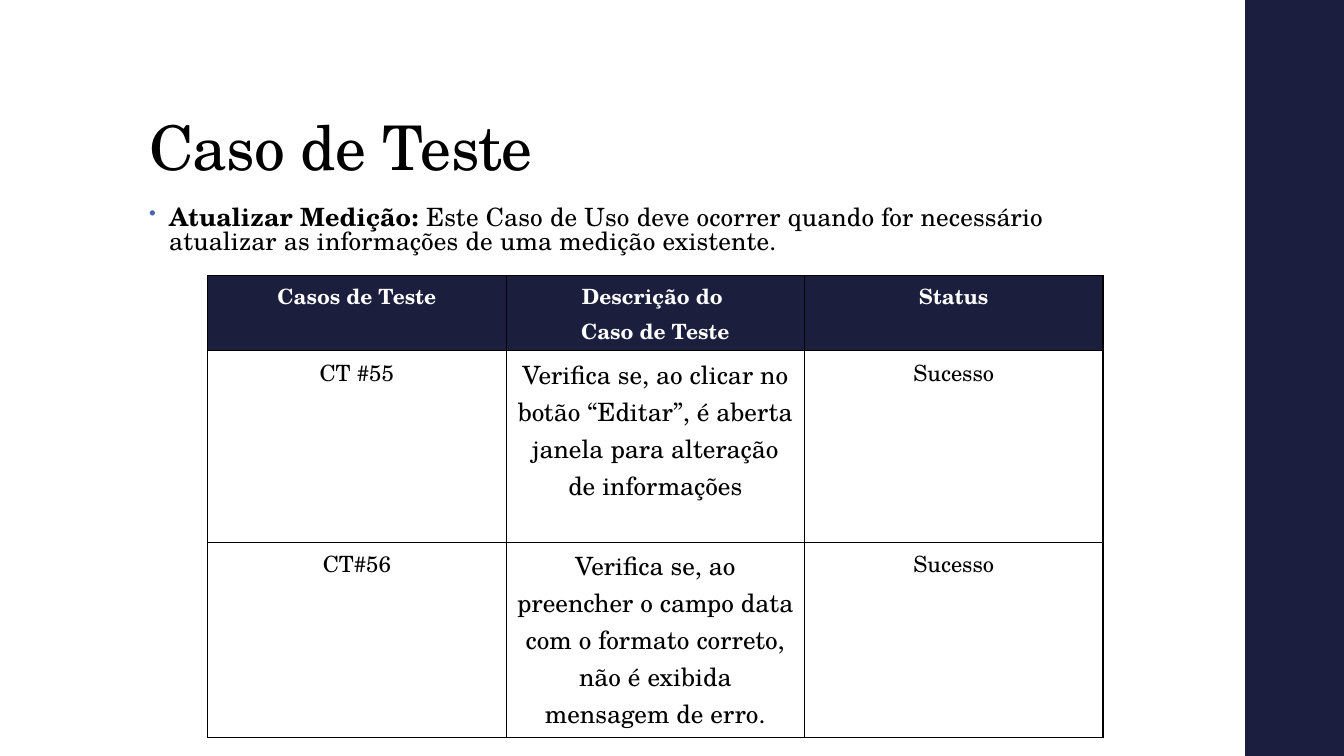
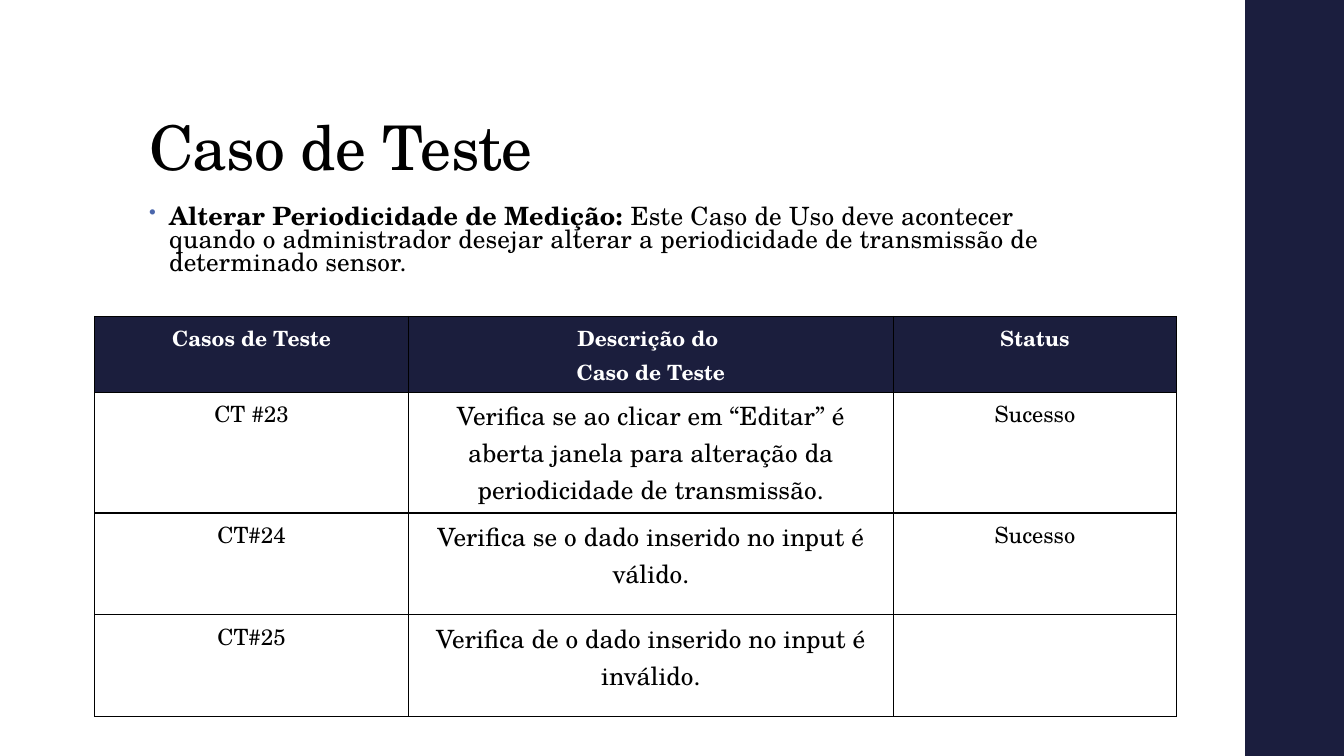
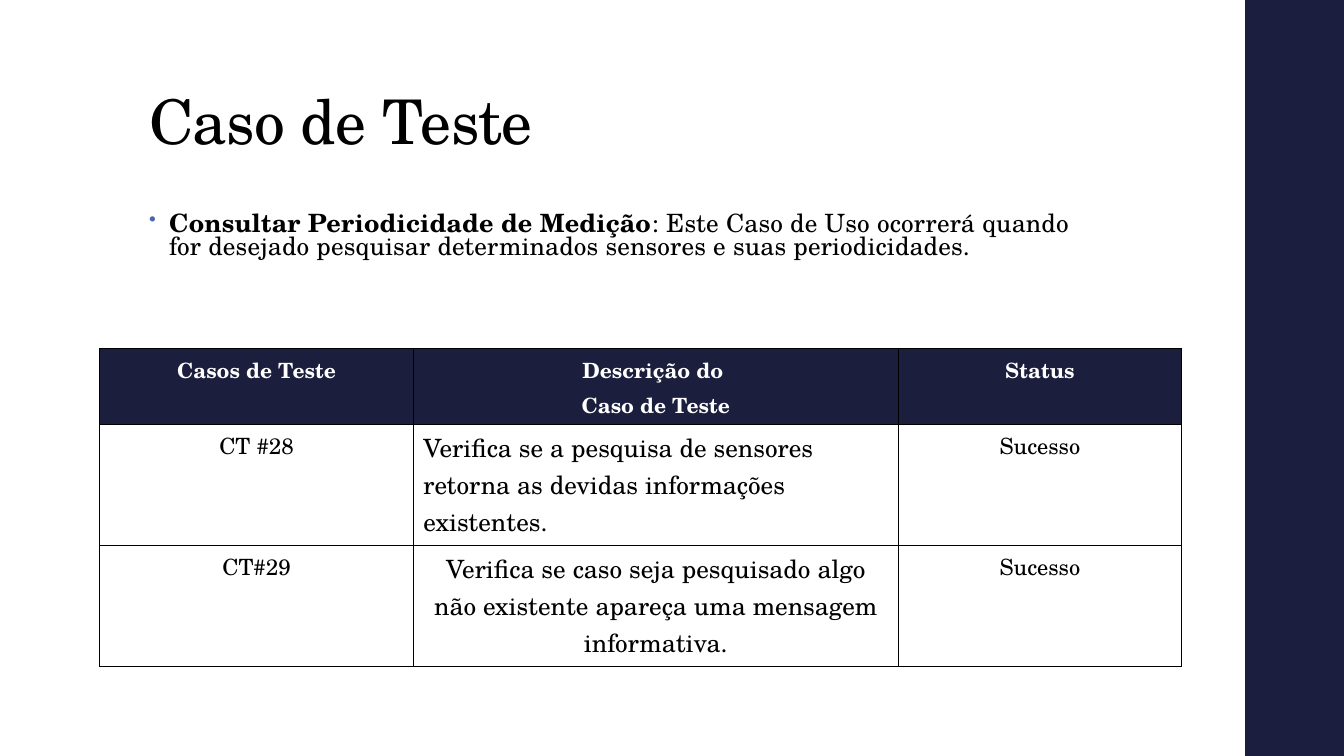
from lxml.etree import SubElement
from pptx import Presentation
from pptx.dml.color import RGBColor
from pptx.enum.shapes import MSO_SHAPE
from pptx.enum.text import MSO_ANCHOR, PP_ALIGN
from pptx.oxml.ns import qn
from pptx.util import Inches, Pt

COLORS = {"band": "1B1E3E", "header": "1B1E3D", "bullet": "4A66AC",
          "text": "000000", "paper": "FFFFFF"}
FONT = "TeX Gyre Schola"
HEADERS = ["Casos de Teste", "Descrição do \nCaso de Teste", "Status"]
WIDE_COLUMNS = [3.11, 4.81, 2.81]


def rgb(name):
    return RGBColor.from_string(COLORS[name])


class TestCaseDeck:
    """Shared style and the slide being built."""

    def __init__(self):
        self.prs = Presentation()
        self.prs.slide_width, self.prs.slide_height = Inches(13.33), Inches(7.5)
        self.slide = None

    def new_slide(self):
        self.slide = self.prs.slides.add_slide(self.prs.slide_layouts[6])
        band = self.slide.shapes.add_shape(
            MSO_SHAPE.RECTANGLE, Inches(12.35), 0, Inches(0.98), Inches(7.5))
        band.shadow.inherit = False
        band.fill.solid()
        band.fill.fore_color.rgb = rgb("band")
        band.line.fill.background()

    def style(self, run, size, color="text", bold=False, tracking=0):
        run.font.name, run.font.size, run.font.bold = FONT, Pt(size), bold
        run.font.color.rgb = rgb(color)
        if tracking:
            run._r.get_or_add_rPr().set("spc", str(tracking))

    def text_frame(self, top, width, height):
        box = self.slide.shapes.add_textbox(
            Inches(1.38), Inches(top), Inches(width), Inches(height))
        box.text_frame.word_wrap = True
        return box.text_frame

    def title(self, top):
        frame = self.text_frame(top, 10.6, 1.45)
        frame.vertical_anchor = MSO_ANCHOR.BOTTOM
        frame.text = "Caso de Teste"
        heading = frame.paragraphs[0]
        heading.line_spacing = 0.72
        self.style(heading.runs[0], 44, tracking=-50)

    def use_case(self, top, name, description, spacing):
        paragraph = self.text_frame(top, 9.4, 4.76).paragraphs[0]
        paragraph.line_spacing = spacing
        props = paragraph._p.get_or_add_pPr()
        props.set("marL", str(Inches(0.2)))
        props.set("indent", str(-Inches(0.2)))
        bullet_color = SubElement(props, qn("a:buClr"))
        SubElement(bullet_color, qn("a:srgbClr"), val=COLORS["bullet"])
        SubElement(props, qn("a:buSzPct"), val="80000")
        SubElement(props, qn("a:buChar"), char="•")
        for text, bold in ((name, True), (description, False)):
            run = paragraph.add_run()
            run.text = text
            self.style(run, 18, bold=bold, tracking=10)

    def cell(self, cell, text, size, fill="paper", color="text", bold=False,
             align=PP_ALIGN.CENTER, after=0):
        # Borders come before the fill in the cell properties
        props = cell._tc.get_or_add_tcPr()
        for side in ("lnL", "lnR", "lnT", "lnB"):
            border = SubElement(props, qn(f"a:{side}"), w=str(Pt(0.96)))
            line_fill = SubElement(border, qn("a:solidFill"))
            SubElement(line_fill, qn("a:srgbClr"), val=COLORS["text"])
        cell.fill.solid()
        cell.fill.fore_color.rgb = rgb(fill)
        cell.text_frame.text = text
        for paragraph in cell.text_frame.paragraphs:
            paragraph.alignment = align
            paragraph.space_after = Pt(after)
            for run in paragraph.runs:
                self.style(run, size, color, bold)

    def case_table(self, left, top, columns, heights, cases, left_aligned=()):
        heights = [0.75] + heights
        table = self.slide.shapes.add_table(
            len(heights), len(columns), Inches(left), Inches(top),
            Inches(sum(columns)), Inches(sum(heights))).table
        for column, width in zip(table.columns, columns):
            column.width = Inches(width)
        for row, height in zip(table.rows, heights):
            row.height = Inches(height)
        for col, header in enumerate(HEADERS):
            self.cell(table.cell(0, col), header, 15, "header", "paper", True, after=1.5)
        for row, (code, check, status) in enumerate(cases, 1):
            align = PP_ALIGN.LEFT if code in left_aligned else PP_ALIGN.CENTER
            self.cell(table.cell(row, 0), code, 16)
            self.cell(table.cell(row, 1), check, 18, align=align)
            self.cell(table.cell(row, 2), status, 16)


def main():
    deck = TestCaseDeck()

    # Update measurement
    deck.new_slide()
    deck.title(0.4)
    deck.use_case(2, "Atualizar Medição:",
                  " Este Caso de Uso deve ocorrer quando for necessário atualizar "
                  "as informações de uma medição existente.", 0.81)
    deck.case_table(2.06, 2.73, [2.96] * 3, [1.9, 1.94], [
        ("CT #55", "Verifica se, ao clicar no botão “Editar”, é aberta janela "
                   "para alteração de informações", "Sucesso"),
        ("CT#56", "Verifica se, ao preencher o campo data com o formato correto, "
                  "não é exibida mensagem de erro.", "Sucesso"),
    ])

    # Change measurement period
    deck.new_slide()
    deck.title(0.4)
    deck.use_case(2, "Alterar Periodicidade de Medição:",
                  " Este Caso de Uso deve acontecer quando o administrador desejar "
                  "alterar a periodicidade de transmissão de determinado sensor.", 0.77)
    deck.case_table(0.94, 3.14, WIDE_COLUMNS, [1.2, 1.01, 1.01], [
        ("CT #23", "Verifica se ao clicar em “Editar” é aberta janela para "
                   "alteração da periodicidade de transmissão.", "Sucesso"),
        ("CT#24", "Verifica se o dado inserido no input é válido.", "Sucesso"),
        ("CT#25", "Verifica de o dado inserido no input é inválido.", ""),
    ])

    # Look up measurement period
    deck.new_slide()
    deck.title(0.14)
    deck.use_case(2.07, "Consultar Periodicidade de Medição",
                  ": Este Caso de Uso ocorrerá quando for desejado pesquisar "
                  "determinados sensores e suas periodicidades.", 0.77)
    deck.case_table(0.99, 3.46, WIDE_COLUMNS, [1.2, 1.2], [
        ("CT #28", "Verifica se a pesquisa de sensores retorna as devidas "
                   "informações existentes.", "Sucesso"),
        ("CT#29", "Verifica se caso seja pesquisado algo não existente apareça "
                  "uma mensagem informativa.", "Sucesso"),
    ], left_aligned=("CT #28",))

    deck.prs.save("out.pptx")


if __name__ == "__main__":
    main()
